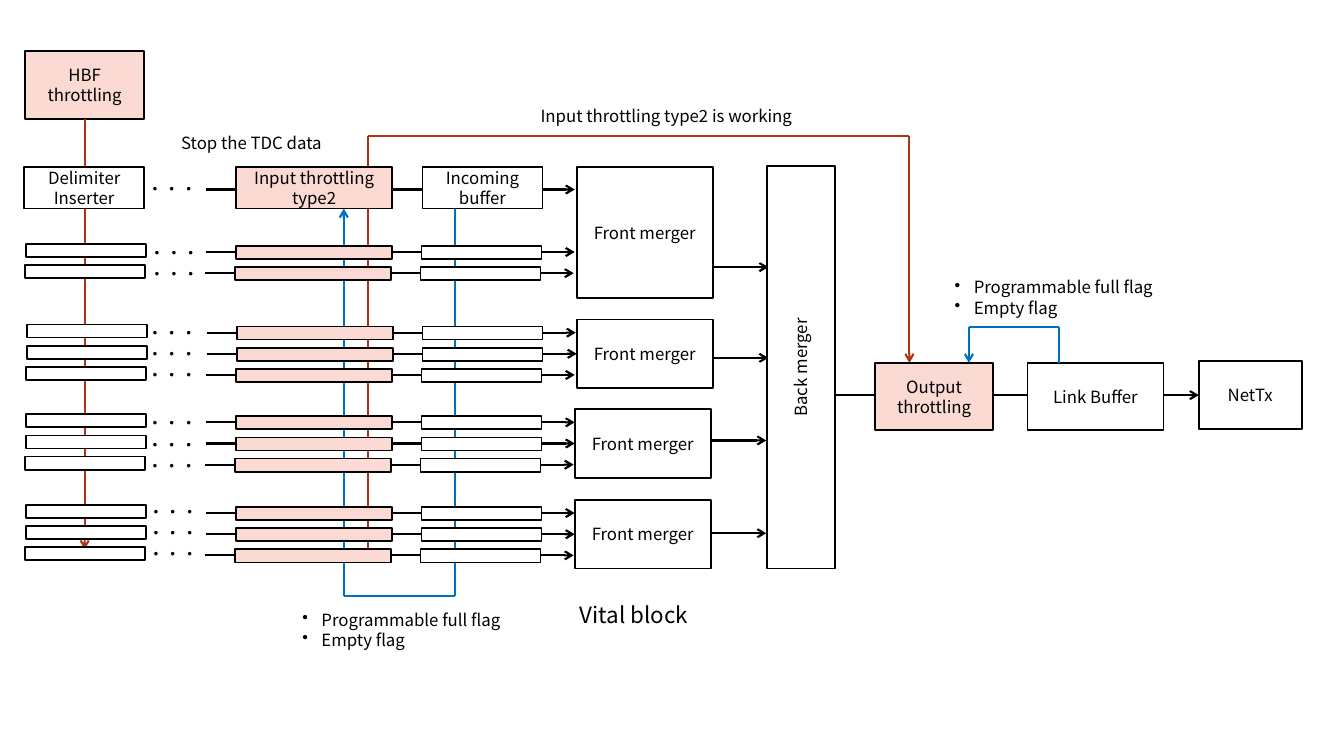
from dataclasses import dataclass
from lxml.etree import SubElement
from pptx import Presentation
from pptx.dml.color import RGBColor
from pptx.enum.shapes import MSO_CONNECTOR, MSO_SHAPE
from pptx.enum.text import MSO_ANCHOR, MSO_AUTO_SIZE, PP_ALIGN
from pptx.oxml.ns import qn
from pptx.util import Inches, Pt


@dataclass(frozen=True)
class Theme:
    font: str = "Noto Sans CJK JP"
    body: float = 12
    title: float = 16
    edge: float = 1.25
    wire: float = 1.5
    black: str = "000000"
    white: str = "FFFFFF"
    pink: str = "FADAD3"
    red: str = "B23214"
    blue: str = "0070C0"


def color(code):
    return RGBColor.from_string(code)


def write(frame, text, theme, size=None, align=PP_ALIGN.CENTER, bullet=False):
    """Fill a text frame, one paragraph for each line of text."""
    frame.word_wrap = True
    for i, line in enumerate(text.split("\n")):
        para = frame.paragraphs[0] if i == 0 else frame.add_paragraph()
        para.alignment = align
        if bullet:
            props = para._p.get_or_add_pPr()
            props.set("marL", str(Inches(0.19)))
            props.set("indent", str(Inches(-0.19)))
            SubElement(props, qn("a:buChar")).set("char", "•")
        run = para.add_run()
        run.text = line
        run.font.size = Pt(size or theme.body)
        run.font.name = theme.font
        run.font.color.rgb = color(theme.black)
        SubElement(run._r.get_or_add_rPr(), qn("a:ea")).set("typeface", theme.font)


class Board:
    def __init__(self, slide, theme):
        self.slide = slide
        self.theme = theme

    def box(self, left, top, width, height, text="", fill=None, turn=0):
        shape = self.slide.shapes.add_shape(
            MSO_SHAPE.RECTANGLE, Inches(left), Inches(top), Inches(width), Inches(height))
        shape.shadow.inherit = False
        shape.fill.solid()
        shape.fill.fore_color.rgb = color(fill or self.theme.white)
        shape.line.color.rgb = color(self.theme.black)
        shape.line.width = Pt(self.theme.edge)
        shape.rotation = turn
        if text:
            shape.text_frame.vertical_anchor = MSO_ANCHOR.MIDDLE
            write(shape.text_frame, text, self.theme)
        return shape

    def label(self, left, top, width, height, text, **style):
        area = self.slide.shapes.add_textbox(
            Inches(left), Inches(top), Inches(width), Inches(height))
        write(area.text_frame, text, self.theme, **style)
        area.text_frame.auto_size = MSO_AUTO_SIZE.SHAPE_TO_FIT_TEXT

    def wire(self, start, end, tint=None, arrow=True):
        line = self.slide.shapes.add_connector(
            MSO_CONNECTOR.STRAIGHT, *(Inches(v) for v in (*start, *end)))
        line.line.color.rgb = color(tint or self.theme.black)
        line.line.width = Pt(self.theme.wire)
        if arrow:
            SubElement(line.line._get_or_add_ln(), qn("a:tailEnd")).set("type", "arrow")
        SubElement(line._element.spPr, qn("a:effectLst"))
        return line

    def route(self, points, tint):
        """Draw a bent path whose last leg carries the arrowhead."""
        last = len(points) - 2
        for i, (start, end) in enumerate(zip(points, points[1:])):
            self.wire(start, end, tint, arrow=i == last)

    def lane(self, left, top, dots):
        """Draw one thin channel row and return its arrow."""
        line = self.wire((left - 0.3, top + 0.06), (left + 3.36, top + 0.06))
        self.box(left, top, 1.55, 0.13, fill=self.theme.pink)
        self.box(left + 1.84, top, 1.19, 0.13)
        self.box(left - 2.08, top - 0.02, 1.19, 0.13)
        self.label(*dots, 0.81, 0.3, "・・・")
        return line


# lane left, first lane top, lane count, dots left, dots rise,
# merger left, merger top, merger height, output height on the page
GROUPS = [
    (2.34, 2.44, 2, 1.32, 0.08, 5.72, 1.66, 1.3, 2.65),
    (2.35, 3.24, 3, 1.3, 0.09, 5.72, 3.17, 0.68, 3.55),
    (2.34, 4.13, 3, 1.3, 0.08, 5.7, 4.06, 0.68, 4.37),
    (2.34, 5.03, 3, 1.31, 0.1, 5.7, 4.96, 0.68, 5.29),
]
PITCH = 0.21
FLAGS = "Programmable full flag\nEmpty flag"


def main():
    deck = Presentation()
    deck.slide_width, deck.slide_height = Inches(13.33), Inches(7.5)
    theme = Theme()
    board = Board(deck.slides.add_slide(deck.slide_layouts[6]), theme)

    # Control paths run behind the blocks
    source = board.box(0.25, 0.51, 1.18, 0.67, "HBF\nthrottling", theme.pink)
    board.wire((0.84, 1.18), (0.84, 5.45), theme.red).begin_connect(source, 2)
    board.route([(3.65, 5.56), (3.65, 1.35), (9.02, 1.35), (9.02, 3.6)], theme.red)
    board.route([(4.51, 2.07), (4.51, 5.91), (3.41, 5.91), (3.41, 2.07)], theme.blue)

    # Labelled channel
    board.wire((2.04, 1.88), (5.7, 1.88))
    board.box(0.24, 1.66, 1.19, 0.41, "Delimiter\nInserter")
    board.label(1.3, 1.72, 0.81, 0.3, "・・・")
    board.box(2.34, 1.66, 1.55, 0.41, "Input throttling\ntype2", theme.pink)
    board.box(4.19, 1.66, 1.19, 0.41, "Incoming\nbuffer")

    # Channel groups, each with its merger
    board.box(5.95, 3.31, 3.99, 0.67, "Back merger", turn=270)
    for left, top, count, dot, rise, side, head, tall, exit in GROUPS:
        merger = board.box(side, head, 1.35, tall, "Front merger")
        board.wire((side + 1.35, exit), (side + 1.9, exit))
        for i in range(count):
            shift = 0.01 if i == count - 1 else 0
            y = top + i * PITCH
            line = board.lane(left - shift, y, (dot, y - rise))
            if count == 3 and i == 1:
                line.end_connect(merger, 1)

    # Output chain
    chain = board.wire((8.28, 3.92), (11.89, 3.92))
    board.box(8.68, 3.6, 1.17, 0.67, "Output\nthrottling", theme.pink)
    board.box(10.19, 3.6, 1.35, 0.67, "Link Buffer")
    link = board.box(11.89, 3.58, 1.02, 0.68, "NetTx")
    chain.end_connect(link, 1)
    board.route([(10.5, 3.6), (10.5, 3.24), (9.61, 3.24), (9.61, 3.6)], theme.blue)

    board.label(1.58, 1.27, 1.83, 0.3, "Stop the TDC data")
    board.label(5.08, 1, 3.06, 0.3, "Input throttling type2 is working")
    board.label(5.65, 5.91, 1.49, 0.37, "Vital block", size=theme.title, align=PP_ALIGN.LEFT)
    board.label(2.9, 6, 2.37, 0.5, FLAGS, align=PP_ALIGN.LEFT, bullet=True)
    board.label(9.37, 2.7, 2.43, 0.5, FLAGS, align=PP_ALIGN.LEFT, bullet=True)

    deck.save("out.pptx")


if __name__ == "__main__":
    main()
